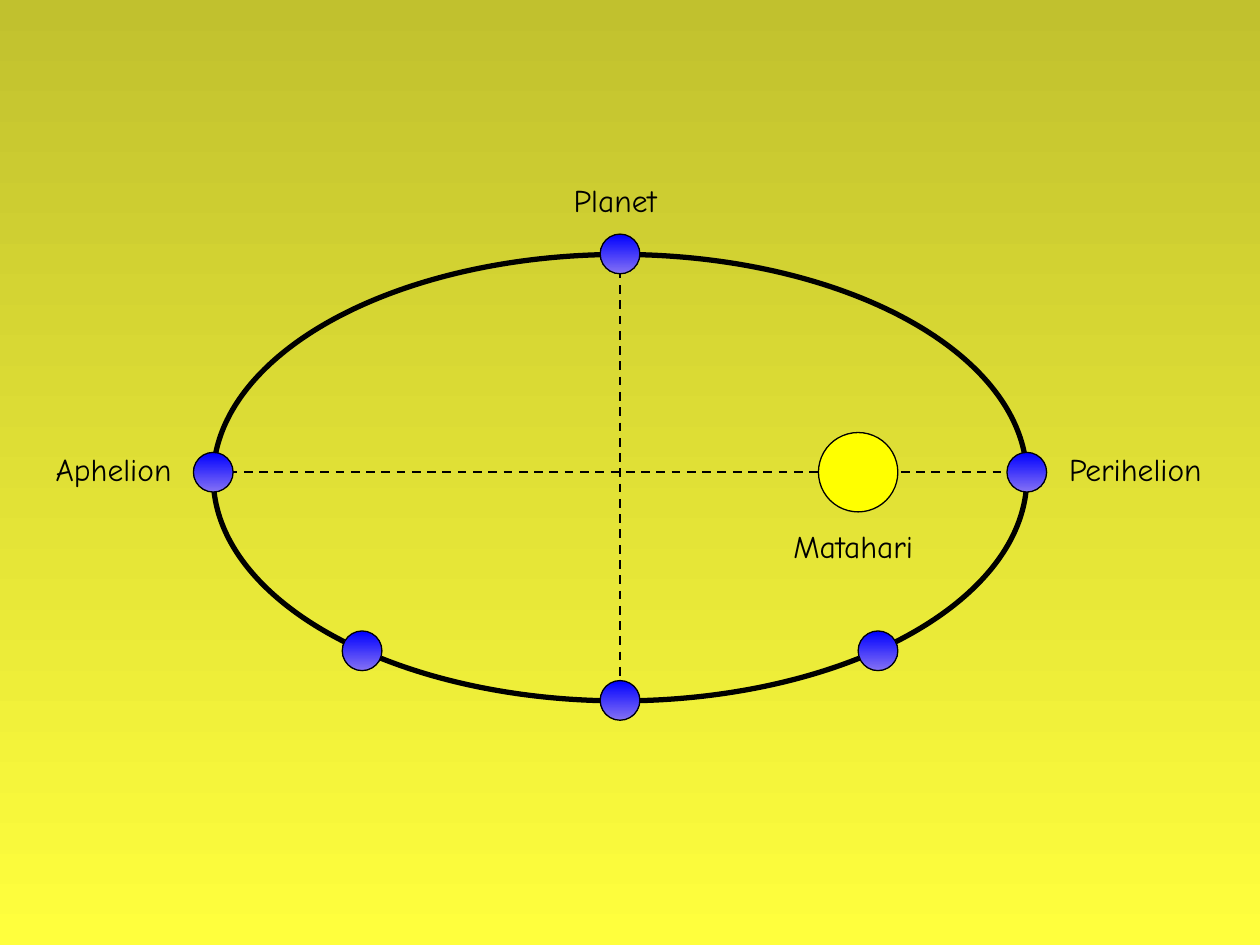
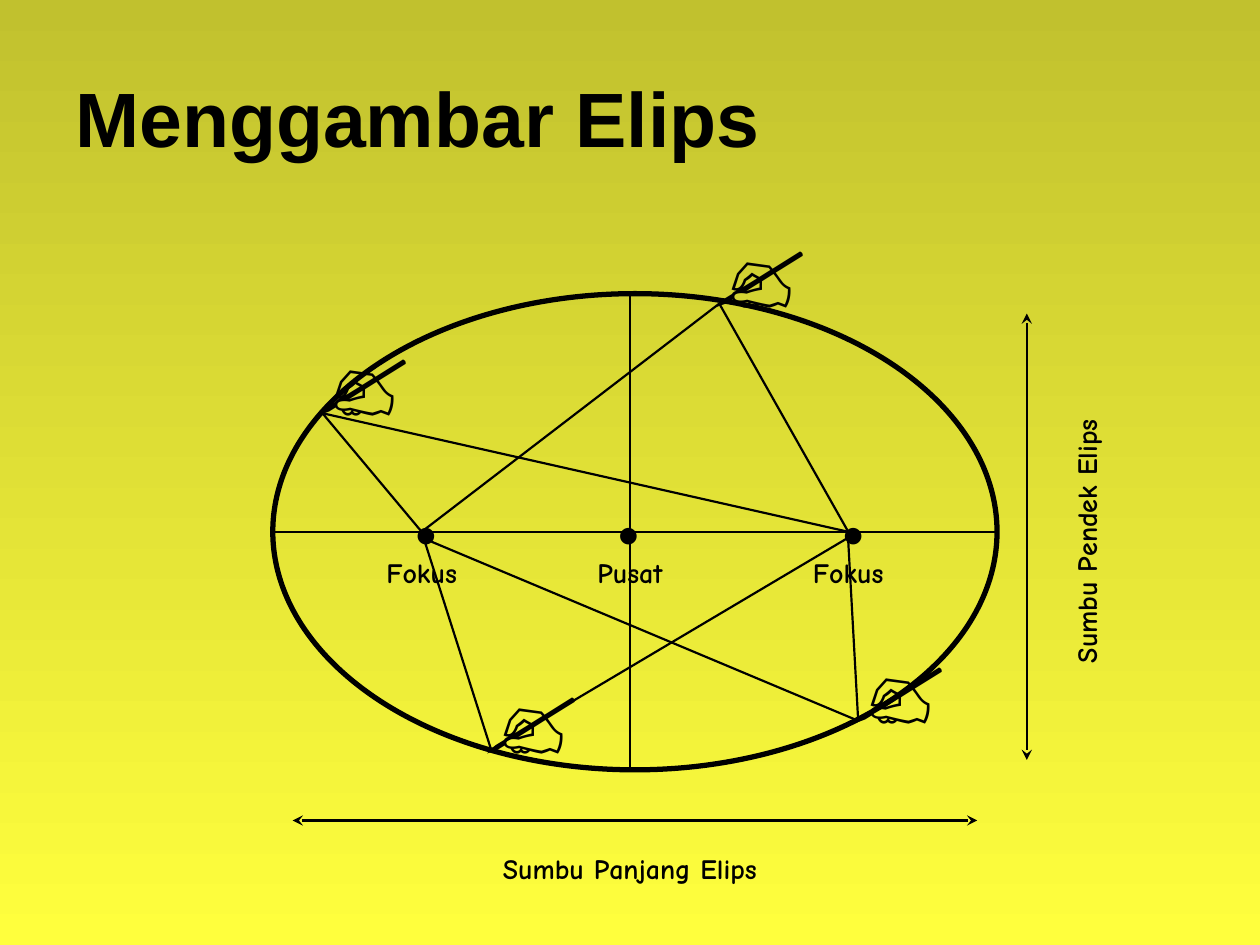
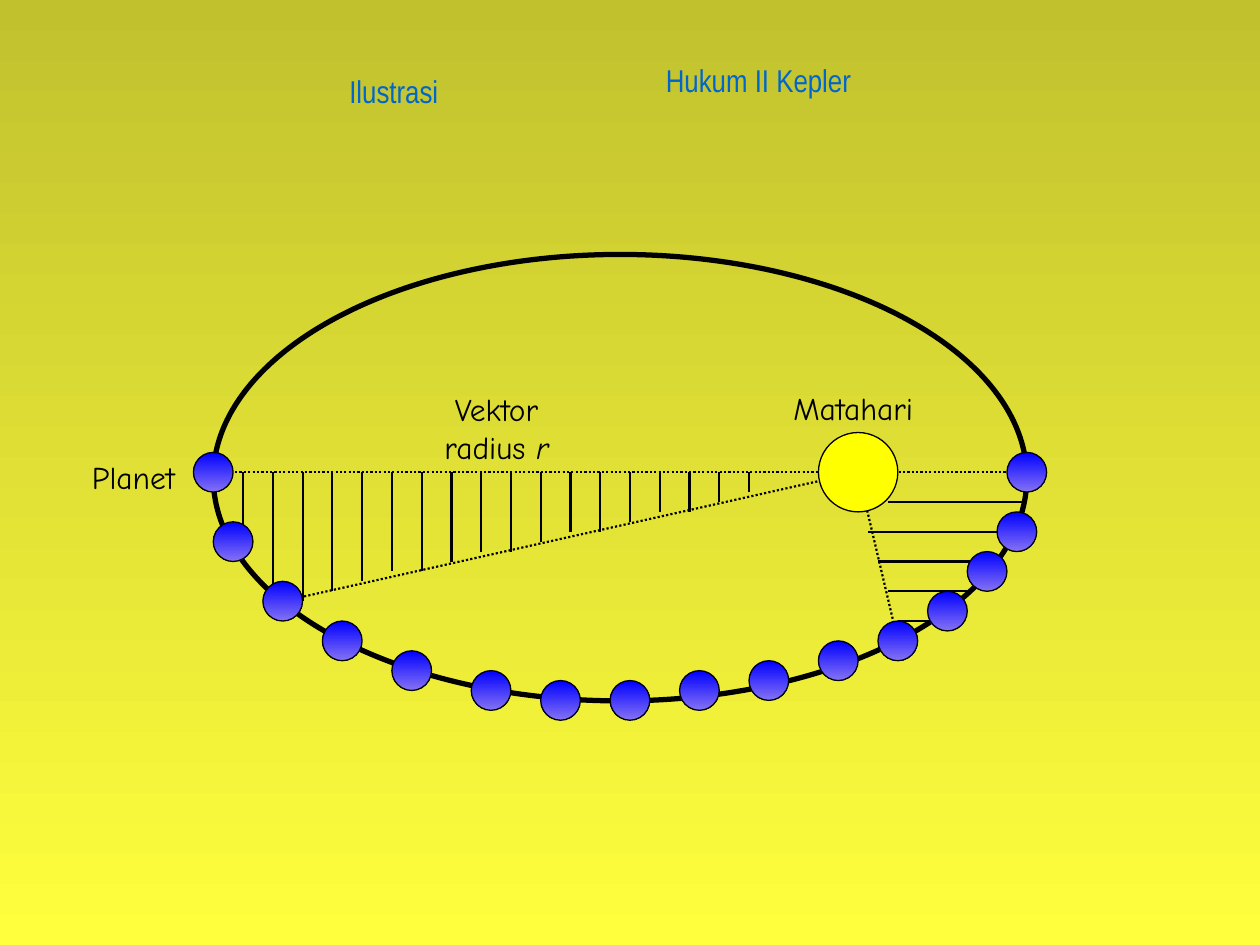
from lxml.etree import SubElement
from pptx import Presentation
from pptx.dml.color import RGBColor
from pptx.enum.dml import MSO_LINE
from pptx.enum.shapes import MSO_CONNECTOR, MSO_SHAPE
from pptx.enum.text import MSO_ANCHOR, PP_ALIGN
from pptx.oxml.ns import qn
from pptx.util import Cm, Pt

BLACK = "000000"
SUN = "FFFF00"
SKY = ("C1C12E", "FFFF3D")
PLANET = ("0000FF", "8572F4")
HEADING = "0066CC"
HEADING_EDGE = "99CCFF"
LABEL_FONT = "Comic Neue"
AXIS_Y = 9.52
SUN_X = 17.3
APHELION_X, PERIHELION_X = 4.3, 20.7


def rgb(value):
    """Turn a hex string into a colour."""
    return RGBColor.from_string(value)


def fade(fill, colours):
    """Fill from top to bottom with two colours."""
    fill.gradient()
    fill.gradient_angle = 270
    for stop, colour, position in zip(fill.gradient_stops, colours, (0, 1)):
        stop.color.rgb = rgb(colour)
        stop.position = position


def add_oval(slide, x, y, width, height, weight):
    """Add an unfilled oval centred on x, y."""
    oval = slide.shapes.add_shape(
        MSO_SHAPE.OVAL, Cm(x - width / 2), Cm(y - height / 2), Cm(width), Cm(height))
    oval.shadow.inherit = False
    oval.fill.background()
    oval.line.color.rgb = rgb(BLACK)
    oval.line.width = Pt(weight)
    return oval


def add_orbit(slide):
    """Add the orbit of the planet."""
    add_oval(slide, 12.5, 9.63, 16.4, 9, 3)


def add_sun(slide):
    """Add the sun at its focus."""
    sun = add_oval(slide, SUN_X, AXIS_Y, 1.6, 1.6, 0.75)
    sun.fill.solid()
    sun.fill.fore_color.rgb = rgb(SUN)


def add_planets(slide, centres):
    """Add a planet at every centre."""
    for x, y in centres:
        fade(add_oval(slide, x, y, 0.8, 0.8, 0.75).fill, PLANET)


def add_line(slide, start, end, dash=None, weight=1.25, arrows=False):
    """Add a straight black line, with arrowheads at both ends if asked."""
    line = slide.shapes.add_connector(
        MSO_CONNECTOR.STRAIGHT, *(Cm(value) for value in (*start, *end)))
    line.line.color.rgb = rgb(BLACK)
    line.line.width = Pt(weight)
    if dash:
        line.line.dash_style = dash
    properties = line._element.spPr
    if arrows:
        for end_tag in ("a:headEnd", "a:tailEnd"):
            SubElement(properties.find(qn("a:ln")), qn(end_tag), type="stealth")
    SubElement(properties, qn("a:effectLst"))


def add_text(slide, words, x, y, width=3.8, height=1.0, size=18, font=LABEL_FONT,
             colour=BLACK, bold=False, anchor=MSO_ANCHOR.MIDDLE,
             align=PP_ALIGN.CENTER, wrap=False, gap=0.25):
    """Add one line of text in a box centred on x, y and return its box."""
    box = slide.shapes.add_textbox(
        Cm(x - width / 2), Cm(y - height / 2), Cm(width), Cm(height))
    box.text_frame.word_wrap = wrap
    box.text_frame.vertical_anchor = anchor
    paragraph = box.text_frame.paragraphs[0]
    paragraph.text = words
    paragraph.alignment = align
    paragraph.space_before = Pt(size * gap)
    paragraph.font.size = Pt(size)
    paragraph.font.name = font
    paragraph.font.bold = bold
    paragraph.font.color.rgb = rgb(colour)
    return box


def add_heading(slide, words, x, y, width, height):
    """Add a blue heading with a pale outline."""
    box = add_text(slide, words, x, y, width, height, font="Arial Narrow",
                   colour=HEADING, anchor=MSO_ANCHOR.TOP, gap=0)
    style = box.text_frame.paragraphs[0]._p.pPr.find(qn("a:defRPr"))
    outline = SubElement(style, qn("a:ln"), w=str(Pt(1.5)))
    fill = SubElement(outline, qn("a:solidFill"))
    SubElement(fill, qn("a:srgbClr"), val=HEADING_EDGE)
    style.insert(0, outline)


def build_orbit(slide):
    """Draw the planet between aphelion and perihelion."""
    add_orbit(slide)
    add_line(slide, (APHELION_X, AXIS_Y), (PERIHELION_X, AXIS_Y), MSO_LINE.DASH)
    add_line(slide, (12.5, 5.13), (12.5, 14.13), MSO_LINE.DASH)
    add_sun(slide)
    add_planets(slide, [(12.5, 5.12), (APHELION_X, AXIS_Y), (7.3, 13.12),
                        (12.5, 14.12), (17.7, 13.12), (PERIHELION_X, AXIS_Y)])
    for words, x, y in (("Planet", 12.4, 4.03), ("Matahari", 17.2, 11.01),
                        ("Aphelion", 2.29, 9.45), ("Perihelion", 22.89, 9.45)):
        add_text(slide, words, x, y)


def build_ellipse(slide):
    """Draw an ellipse with strings from its two foci to the pencil."""
    add_text(slide, "Menggambar Elips", 12.7, 2.35, 22.86, 3.18, 44, "Arial",
             bold=True, align=PP_ALIGN.LEFT, wrap=True, gap=0)
    add_oval(slide, 12.8, 10.72, 14.6, 9.6, 3)

    strings = (((14.5, 6.12), (8.5, 10.72), (17.1, 10.72)),
               ((6.5, 8.33), (8.5, 10.72), (17.1, 10.72)),
               ((9.9, 15.11), (8.5, 10.72), (17.3, 10.72)),
               ((17.3, 14.53), (8.7, 10.92), (17.1, 10.92)))
    for pencil, *foci in strings:
        for focus in foci:
            add_line(slide, focus, pencil)
    for left, right in ((5.5, 8.5), (8.7, 17.1), (17.3, 20.1)):
        add_line(slide, (left, 10.72), (right, 10.72))
    add_line(slide, (12.7, 5.92), (12.7, 15.52))

    for x, y in ((15.1, 5.33), (7.1, 7.52), (10.5, 14.33), (17.89, 13.72)):
        add_text(slide, "✍", x, y, 2, 2.8, 60, "Arial", bold=True,
                 anchor=MSO_ANCHOR.TOP, wrap=True)
    for words, dot_x, label_x in (("Fokus", 8.59, 8.5), ("Pusat", 12.67, 12.7),
                                  ("Fokus", 17.2, 17.1)):
        add_text(slide, "●", dot_x, 10.73, 1, 1.2, 22, "Arial", bold=True,
                 anchor=MSO_ANCHOR.TOP)
        add_text(slide, words, label_x, 11.53, 2, 0.8, 16, bold=True)

    add_line(slide, (5.9, 16.54), (19.7, 16.54), weight=1.5, arrows=True)
    add_line(slide, (20.7, 6.32), (20.7, 15.32), weight=1.5, arrows=True)
    add_text(slide, "Sumbu Panjang Elips", 12.7, 17.51, 7.2, 1.2, 16, bold=True)
    short_axis = add_text(slide, "Sumbu Pendek Elips", 21.89, 10.91, 7.2, 1.2, 16,
                          bold=True)
    short_axis.rotation = 270


def build_second_law(slide):
    """Draw the two hatched areas that the radius vector sweeps."""
    depths = (1.8, 2.4, 2.6, 2.4, 2.2, 2, 2, 1.8, 1.6, 1.6, 1.4, 1.2, 1.2, 1,
              0.8, 0.8, 0.6, 0.4)
    for index, depth in enumerate(depths):
        x = 4.9 + 0.6 * index
        add_line(slide, (x, AXIS_Y), (x, AXIS_Y + depth))
    spans = ((17.9, 20.7), (17.5, 20.3), (17.7, 20.1), (17.9, 19.5), (18.1, 18.9))
    for index, (left, right) in enumerate(spans, 1):
        y = AXIS_Y + 0.6 * index
        add_line(slide, (left, y), (right, y))
    for start, end in (((SUN_X, AXIS_Y), (18.1, 12.92)),
                       ((5.7, 12.12), (SUN_X, AXIS_Y)),
                       ((APHELION_X, AXIS_Y), (PERIHELION_X, AXIS_Y))):
        add_line(slide, start, end, MSO_LINE.ROUND_DOT)

    add_orbit(slide)
    add_sun(slide)
    add_planets(slide, [
        (APHELION_X, AXIS_Y), (4.7, 10.92), (5.7, 12.12), (6.9, 12.92),
        (8.3, 13.52), (9.9, 13.92), (11.3, 14.12), (12.7, 14.12),
        (14.1, 13.92), (15.5, 13.72), (16.9, 13.32), (18.1, 12.92),
        (19.1, 12.32), (PERIHELION_X, AXIS_Y), (20.5, 10.72), (19.9, 11.52)])

    add_text(slide, "Matahari", 17.2, 8.22)
    add_text(slide, "Planet", 2.69, 9.61, 2.4)
    radius = add_text(slide, "Vektor radius ", 10.01, 8.62)
    symbol = radius.text_frame.paragraphs[0].add_run()
    symbol.text = "r"
    symbol.font.italic = True
    add_heading(slide, "Ilustrasi", 7.94, 2.43, 4.6, 2.2)
    add_heading(slide, "Hukum II Kepler", 15.29, 2.41, 9.6, 2.6)


def main():
    """Build the three slides and save them."""
    deck = Presentation()
    deck.slide_width, deck.slide_height = Cm(25.4), Cm(19.05)
    fade(deck.slide_master.background.fill, SKY)
    for build in (build_orbit, build_ellipse, build_second_law):
        build(deck.slides.add_slide(deck.slide_layouts[6]))
    deck.save("out.pptx")


main()
